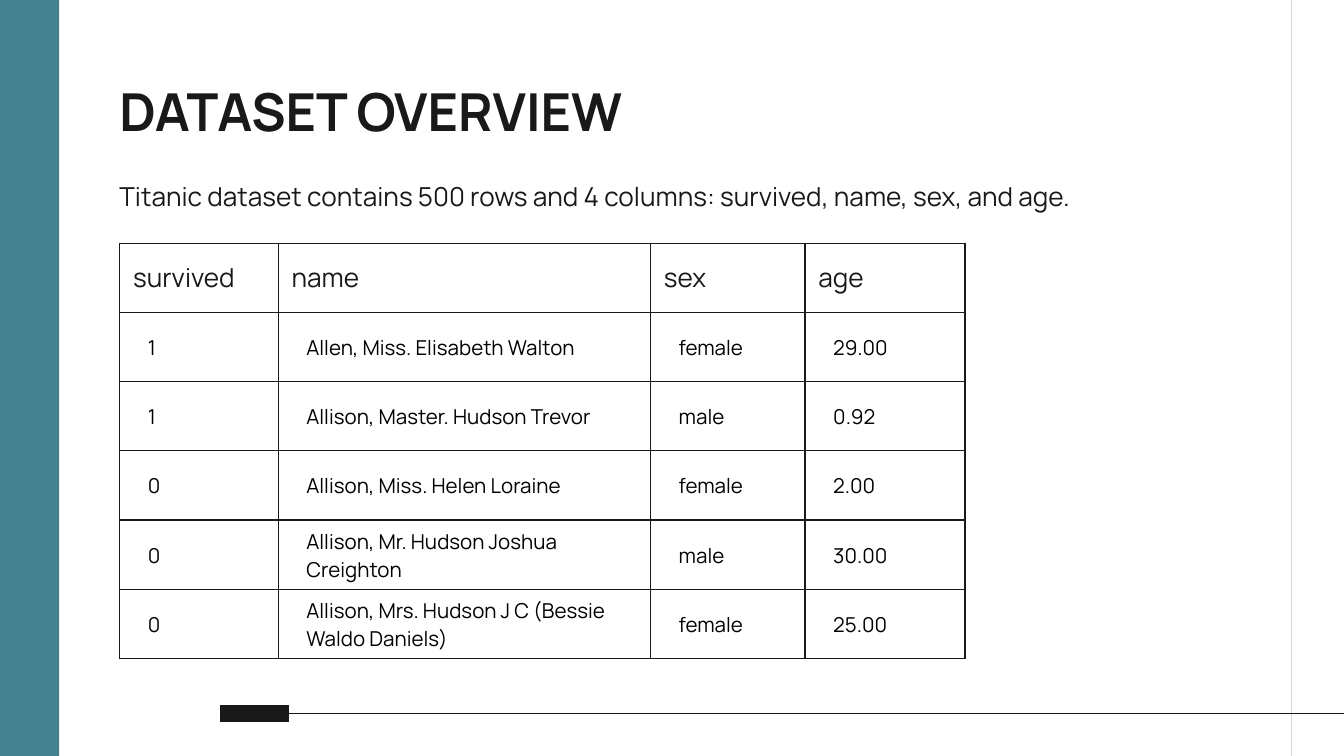
import pptx
import pptx.util
import pptx.dml.color
import pptx.enum.shapes
import pptx.enum.text
import pptx.oxml
import pptx.oxml.ns
from pptx.util import Inches

TEAL = pptx.dml.color.RGBColor(0x45, 0x81, 0x8E)
INK = pptx.dml.color.RGBColor(0x19, 0x19, 0x19)
BLACK = pptx.dml.color.RGBColor(0, 0, 0)
GREY = pptx.dml.color.RGBColor(0xD9, 0xD9, 0xD9)

FONT = "Manrope"
MIDDLE = pptx.enum.text.MSO_ANCHOR.MIDDLE
TOP = pptx.enum.text.MSO_ANCHOR.TOP

TITLE = {"size": pptx.util.Pt(28), "bold": True, "color": INK}
LEAD = {"size": pptx.util.Pt(14), "bold": False, "color": INK}
BODY = {"size": pptx.util.Pt(11), "bold": False, "color": BLACK}

WIDE_MARGINS = (0.1, 0.1, 0.1, 0.1)
BODY_MARGINS = (0.01, 0.01, 0.01, 0)
COLUMN_WIDTHS = (1.18, 2.77, 1.15, 1.19)
TABLE_HEIGHT = 3.09
PASSENGERS = [
    ("survived", "name", "sex", "age"),
    ("1", "Allen, Miss. Elisabeth Walton", "female", "29.00"),
    ("1", "Allison, Master. Hudson Trevor", "male", "0.92"),
    ("0", "Allison, Miss. Helen Loraine", "female", "2.00"),
    ("0", "Allison, Mr. Hudson Joshua Creighton", "male", "30.00"),
    ("0", "Allison, Mrs. Hudson J C (Bessie Waldo Daniels)", "female", "25.00"),
]


def set_margins(target, margins):
    for side, value in zip(("left", "top", "right", "bottom"), margins):
        setattr(target, f"margin_{side}", Inches(value))


def write_text(para, text, style):
    span = para.add_run()
    span.text = text
    span.font.name = FONT
    for name, value in style.items():
        if name == "color":
            span.font.color.rgb = value
        else:
            setattr(span.font, name, value)


def add_text(page, place, text, style, anchor):
    box = page.shapes.add_textbox(*map(Inches, place))
    frame = box.text_frame
    frame.word_wrap = True
    frame.vertical_anchor = anchor
    set_margins(frame, WIDE_MARGINS)
    write_text(frame.paragraphs[0], text, style)


def add_band(page, width, height, color):
    band = page.shapes.add_shape(
        pptx.enum.shapes.MSO_SHAPE.RECTANGLE, 0, 0, width, height)
    band.shadow.inherit = False
    band.fill.solid()
    band.fill.fore_color.rgb = color
    band.line.fill.background()


def add_line(page, ends, color, width):
    line = page.shapes.add_connector(
        pptx.enum.shapes.MSO_CONNECTOR.STRAIGHT, *map(Inches, ends))
    line.line.color.rgb = color
    line.line.width = pptx.util.Pt(width)
    line._element.spPr.append(pptx.oxml.parse_xml(
        f'<a:effectLst {pptx.oxml.ns.nsdecls("a")}/>'))


def add_borders(cell, color, width):
    properties = cell._tc.get_or_add_tcPr()
    for position, side in enumerate("LRTB"):
        properties.insert(position, pptx.oxml.parse_xml(
            f'<a:ln{side} {pptx.oxml.ns.nsdecls("a")} w="{pptx.util.Pt(width)}">'
            f'<a:solidFill><a:srgbClr val="{color}"/></a:solidFill></a:ln{side}>'))


def fill_cell(cell, text, is_header):
    para = cell.text_frame.paragraphs[0]
    write_text(para, text, LEAD if is_header else BODY)
    if not is_header:
        para._p.get_or_add_pPr().set("marL", str(Inches(0.2)))
    cell.vertical_anchor = MIDDLE
    set_margins(cell, WIDE_MARGINS if is_header else BODY_MARGINS)
    cell.fill.background()
    add_borders(cell, INK, 0.75)


def add_passenger_table(page, left, top):
    table = page.shapes.add_table(
        len(PASSENGERS), len(COLUMN_WIDTHS), Inches(left), Inches(top),
        Inches(sum(COLUMN_WIDTHS)), Inches(TABLE_HEIGHT)).table
    table.first_row = table.horz_banding = False
    for column, width in zip(table.columns, COLUMN_WIDTHS):
        column.width = Inches(width)
    for row_number, (row, values) in enumerate(zip(table.rows, PASSENGERS)):
        row.height = Inches(TABLE_HEIGHT / len(PASSENGERS))
        for cell, value in zip(row.cells, values):
            fill_cell(cell, value, row_number == 0)


def main():
    # Widescreen page, 16 by 9
    deck = pptx.Presentation()
    deck.slide_width = Inches(10)
    deck.slide_height = deck.slide_width * 9 // 16
    page = deck.slides.add_slide(deck.slide_layouts[6])

    # Side band and rules
    add_band(page, Inches(0.44), deck.slide_height, TEAL)
    add_line(page, (9.61, -0.04, 9.61, 5.66), GREY, 0.75)
    add_line(page, (1.64, 5.31, 2.15, 5.31), INK, 9)
    add_line(page, (2.15, 5.31, 10.06, 5.31), INK, 0.75)

    # Title, table and lead sentence
    add_text(page, (0.79, 0.49, 8.43, 0.63), "DATASET OVERVIEW", TITLE, TOP)
    add_passenger_table(page, 0.89, 1.81)
    add_text(page, (0.79, 1.11, 8.43, 0.7),
             "Titanic dataset contains 500 rows and 4 columns: "
             "survived, name, sex, and age.", LEAD, MIDDLE)

    deck.save("out.pptx")


if __name__ == "__main__":
    main()
